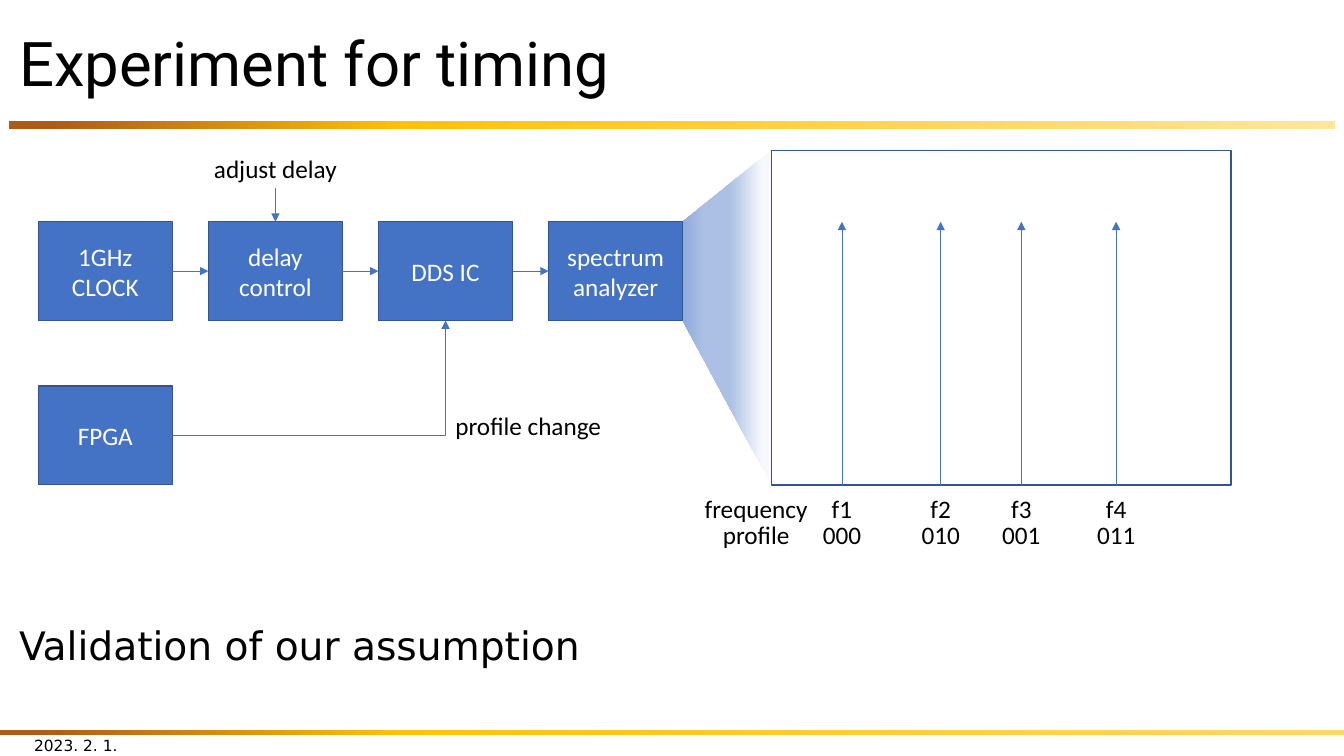
from lxml.etree import SubElement
from pptx import Presentation
from pptx.dml.color import RGBColor
from pptx.enum.shapes import MSO_CONNECTOR as Connector, MSO_SHAPE as Shape
from pptx.enum.text import MSO_ANCHOR as Anchor, PP_ALIGN as Align
from pptx.oxml.ns import qn
from pptx.util import Inches, Pt

TITLE = "Experiment for timing"
CONCLUSION = "Validation of our assumption"
DATE = "2023. 2. 1."
CHAIN = ["1GHz CLOCK", "delay control", "DDS IC", "spectrum analyzer"]
CONTROLLER = "FPGA"
DELAY_NOTE, PROFILE_NOTE = "adjust delay", "profile change"
AXIS_ROWS = ("frequency", "profile")
PEAKS = [("f1", "000", 8.35), ("f2", "010", 9.33), ("f3", "001", 10.13), ("f4", "011", 11.07)]

BLACK = RGBColor(0x00, 0x00, 0x00)
WHITE = RGBColor(0xFF, 0xFF, 0xFF)
BLUE = RGBColor(0x44, 0x72, 0xC4)
NAVY = RGBColor(0x32, 0x54, 0x91)
BROWN = RGBColor(0xB0, 0x5A, 0x16)
GOLD = RGBColor(0xFF, 0xC2, 0x08)
CREAM = RGBColor(0xFF, 0xE6, 0x99)
SAND = RGBColor(0xFF, 0xD9, 0x66)
MIST = RGBColor(0xF6, 0xF8, 0xFC)
SKY = RGBColor(0xAB, 0xC0, 0xE4)
STEEL = RGBColor(0x8F, 0xAA, 0xDC)

WIDTH, HEIGHT = 13.33, 7.5
MARGIN, CONTENT_WIDTH = 0.09, 13.15
BOX_WIDTH, BOX_HEIGHT = 1.33, 0.98
COLUMNS = [0.38 + 1.687 * column for column in range(len(CHAIN))]
CHAIN_TOP, CONTROLLER_TOP = 2.2, 3.83
CHAIN_MIDDLE = CHAIN_TOP + BOX_HEIGHT / 2
CHAIN_BOTTOM = CHAIN_TOP + BOX_HEIGHT
SCREEN = (7.65, 1.49, 4.56, 3.32)
SCREEN_BOTTOM = SCREEN[1] + SCREEN[3]
LABEL_HEIGHT = 0.4
AXIS_TOPS, AXIS_CENTER = (4.84, 5.1), 7.5
AXIS_WIDTHS, PEAK_WIDTHS = (1.24, 0.87), (0.41, 0.59)


def write(frame, text, size, font, color=BLACK, align=Align.LEFT, anchor=Anchor.TOP):
    frame.text = text
    frame.vertical_anchor = anchor
    paragraph = frame.paragraphs[0]
    paragraph.alignment = align
    run_font = paragraph.runs[0].font
    run_font.size, run_font.name = Pt(size), font
    run_font.color.rgb = color
    return paragraph


def add_text(slide, place, text, size, font, wrap=True, **style):
    frame = slide.shapes.add_textbox(*map(Inches, place)).text_frame
    frame.word_wrap = wrap
    return write(frame, text, size, font, **style)


def add_label(slide, center, top, width, text):
    add_text(slide, (center - width / 2, top, width, LABEL_HEIGHT), text, 18, "Calibri",
             wrap=False, align=Align.CENTER)


def add_rectangle(slide, place):
    rectangle = slide.shapes.add_shape(Shape.RECTANGLE, *map(Inches, place))
    rectangle.shadow.inherit = False
    rectangle.line.color.rgb = NAVY
    rectangle.line.width = Pt(1)
    return rectangle


def add_block(slide, left, top, text):
    block = add_rectangle(slide, (left, top, BOX_WIDTH, BOX_HEIGHT))
    block.fill.solid()
    block.fill.fore_color.rgb = BLUE
    write(block.text_frame, text, 18, "Calibri", WHITE, Align.CENTER, Anchor.MIDDLE)


def fill_gradient(shape, stops, angle):
    shape.line.fill.background()
    shape.fill.gradient()
    shape.fill.gradient_angle = angle
    stop_list = next(shape.element.spPr.iter(qn("a:gsLst")))
    for stop in list(stop_list):
        stop_list.remove(stop)
    for percent, color in stops:
        stop = SubElement(stop_list, qn("a:gs"), pos=str(percent * 1000))
        SubElement(stop, qn("a:srgbClr"), val=str(color))


def add_arrow(slide, start, end, kind=Connector.STRAIGHT):
    arrow = slide.shapes.add_connector(kind, *map(Inches, (*start, *end)))
    arrow.line.color.rgb = BLUE
    arrow.line.width = Pt(0.5)
    properties = arrow.element.spPr
    SubElement(properties.find(qn("a:ln")), qn("a:tailEnd"), type="triangle")
    SubElement(properties, qn("a:effectLst"))
    if kind == Connector.ELBOW:
        properties.find(qn("a:prstGeom")).set("prst", "bentConnector2")


def add_frame(slide):
    for place, last in (((MARGIN, 1.2, CONTENT_WIDTH, 0.08), CREAM), ((0, 7.24, WIDTH, 0.05), SAND)):
        fill_gradient(add_rectangle(slide, place), [(3, BROWN), (30, GOLD), (100, last)], 0)
    title = add_text(slide, (MARGIN, 0.17, CONTENT_WIDTH, 0.98), TITLE, 44, "Roboto", anchor=Anchor.MIDDLE)
    conclusion = add_text(slide, (MARGIN, 6.17, CONTENT_WIDTH, 0.59), CONCLUSION, 28, "DejaVu Sans")
    title.line_spacing = conclusion.line_spacing = 0.9
    add_text(slide, (0.24, 7.19, 3, LABEL_HEIGHT), DATE, 11, "DejaVu Sans", anchor=Anchor.MIDDLE)


def add_signal_chain(slide):
    for left, text in zip(COLUMNS, CHAIN):
        add_block(slide, left, CHAIN_TOP, text)
    for left, following in zip(COLUMNS, COLUMNS[1:]):
        add_arrow(slide, (left + BOX_WIDTH, CHAIN_MIDDLE), (following, CHAIN_MIDDLE))
    add_block(slide, COLUMNS[0], CONTROLLER_TOP, CONTROLLER)
    delay_center, synth_center = (left + BOX_WIDTH / 2 for left in COLUMNS[1:3])
    add_arrow(slide, (COLUMNS[0] + BOX_WIDTH, CONTROLLER_TOP + BOX_HEIGHT / 2),
              (synth_center, CHAIN_BOTTOM), Connector.ELBOW)
    add_text(slide, (synth_center, 4.02, 1.67, LABEL_HEIGHT), PROFILE_NOTE, 18, "Calibri", wrap=False)
    add_label(slide, delay_center, 1.47, 1.43, DELAY_NOTE)
    add_arrow(slide, (delay_center, 1.87), (delay_center, CHAIN_TOP))


def add_spectrum(slide):
    add_rectangle(slide, SCREEN).fill.background()
    near = COLUMNS[-1] + BOX_WIDTH
    corners = [(near, CHAIN_TOP), (near, CHAIN_BOTTOM), (SCREEN[0], SCREEN_BOTTOM), SCREEN[:2]]
    points = [(Inches(x), Inches(y)) for x, y in corners]
    builder = slide.shapes.build_freeform(*points[0])
    builder.add_line_segments(points[1:], close=True)
    beam = builder.convert_to_shape()
    beam.shadow.inherit = False
    fill_gradient(beam, [(11, MIST), (47, SKY), (76, SKY), (100, STEEL)], 180)
    for text, top, width in zip(AXIS_ROWS, AXIS_TOPS, AXIS_WIDTHS):
        add_label(slide, AXIS_CENTER, top, width, text)
    for *labels, center in PEAKS:
        add_arrow(slide, (center, SCREEN_BOTTOM), (center, CHAIN_TOP))
        for text, top, width in zip(labels, AXIS_TOPS, PEAK_WIDTHS):
            add_label(slide, center, top, width, text)


def main():
    """Build the timing experiment slide."""
    deck = Presentation()
    deck.slide_width, deck.slide_height = Inches(WIDTH), Inches(HEIGHT)
    slide = deck.slides.add_slide(deck.slide_layouts[6])
    add_frame(slide)
    add_signal_chain(slide)
    add_spectrum(slide)
    deck.save("out.pptx")


if __name__ == "__main__":
    main()
